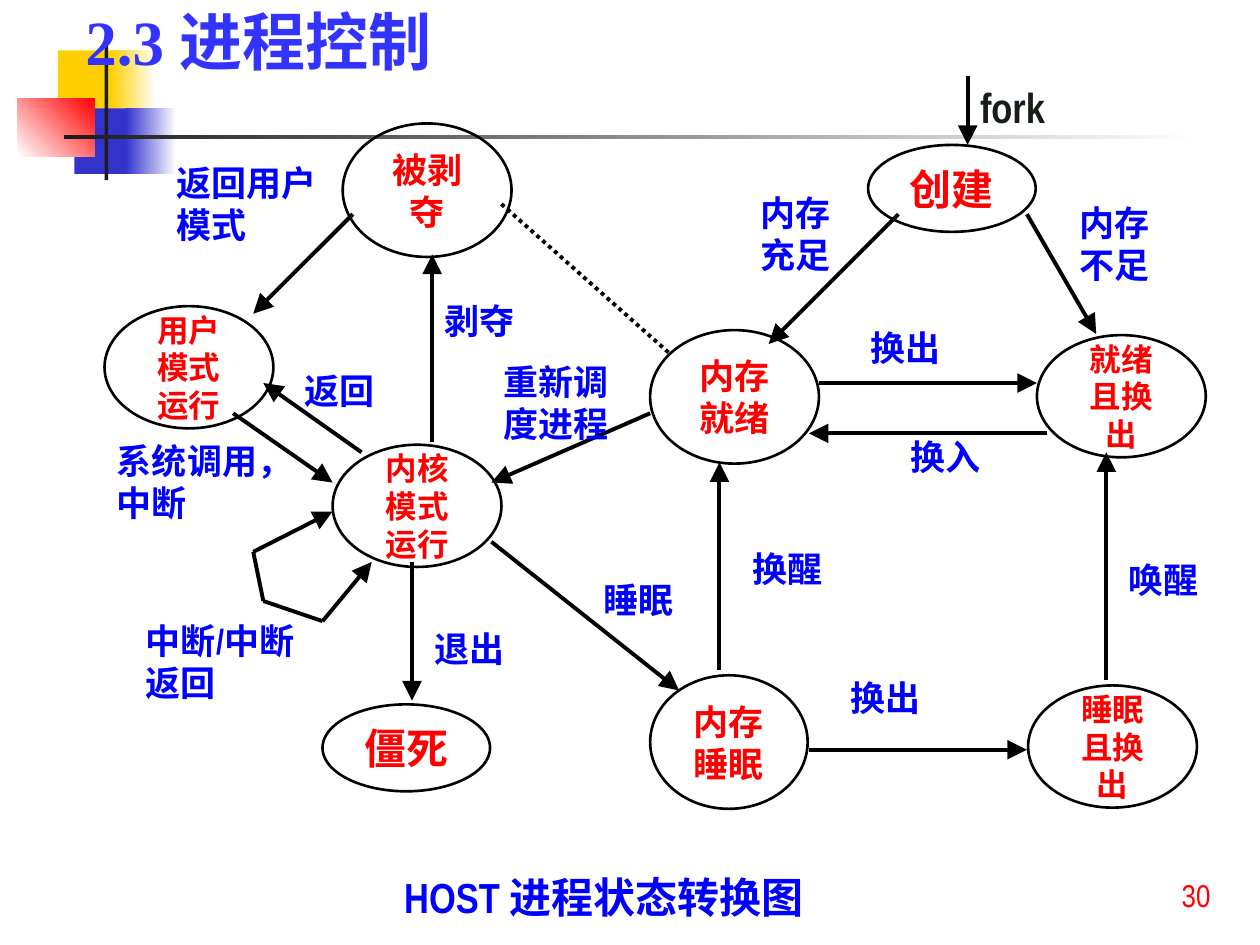
from lxml import etree
from pptx import Presentation
from pptx import util as u
from pptx.dml.color import RGBColor
from pptx.enum import dml, shapes, text
from pptx.oxml.ns import qn

THEME = {
    "body": "Arial Narrow", "heading": "Times New Roman",
    "state": "FF0000", "label": "0000FF", "title": "3333FF", "fork": "171D17",
    "ink": "000000", "white": "FFFFFF", "yellow": "FFCF01", "blue": "3333CC",
    "red": "FF0000", "dark": "1C1C1C",
    "title_size": 36, "large": 24, "medium": 20, "small": 18,
    "outline": 1.5, "arrow": 2.25,
}

# All places are columns and rows of a grid of 1000 by 750 cells
COLUMNS, ROWS = 1000, 750

# Decoration: box, first colour, last colour (None for plain), gradient angle
DECORATION = [
    ((46, 40, 48, 52), "yellow", None, 0),
    ((88, 40, 36, 52), "yellow", "white", 0),
    ((59, 86, 46, 52), "blue", None, 0),
    ((100, 86, 40, 52), "blue", "white", 0),
    ((14, 78, 61, 46), "white", "red", 45),
    ((83, 28, 3, 115), "dark", None, 0),
    ((51, 107, 900, 3), "dark", "white", 0),
]

# States: text, left, top, type size
STATES = [
    ("被剥夺", 272, 98, "medium"), ("用户模式运行", 83, 243, "small"),
    ("僵死", 256, 559, "large"), ("内存睡眠", 516, 536, "medium"),
    ("内存就绪", 516, 262, "medium"), ("创建", 689, 115, "large"),
    ("睡眠且换出", 816, 544, "small"), ("就绪且换出", 823, 266, "small"),
    ("内核模式运行", 264, 353, "small"),
]
STATE_SIZES = {"large": (133, 69), "medium": (134, 106), "small": (134, 97)}
NARROW_STATES = {"内存睡眠": 125}
STATE_MARGIN = 12

# Transitions: start and end
ARROWS = [
    ((768, 60), (768, 115)), ((878, 540), (878, 359)),
    ((642, 595), (815, 595)), ((571, 532), (571, 367)),
    ((390, 430), (539, 548)), ((327, 446), (327, 556)),
    ((650, 304), (823, 304)), ((831, 344), (642, 344)),
    ((815, 170), (870, 265)), ((713, 170), (610, 273)),
    ((343, 351), (343, 202)), ((287, 359), (209, 304)),
    ((185, 328), (264, 383)), ((280, 170), (201, 249)),
    ((516, 328), (390, 383)),
    ((201, 438), (264, 406)), ((256, 493), (295, 446)),
]
PLAIN_LINES = [((209, 477), (201, 438)), ((209, 477), (256, 493))]
DOTTED_LINES = [((398, 162), (532, 281))]

# Labels: text, left, top, width, number of lines
LABELS = [
    ("返回用户模式", 130, 123, 142, 2), ("剥夺", 343, 233, 95, 1),
    ("返回", 232, 288, 94, 1), ("退出", 335, 493, 94, 1),
    ("睡眠", 469, 454, 126, 1), ("换醒", 587, 430, 102, 1),
    ("换出", 665, 532, 118, 1), ("唤醒", 886, 438, 90, 1),
    ("换出", 681, 254, 102, 1), ("换入", 713, 341, 126, 1),
    ("内存不足", 847, 155, 102, 2), ("内存充足", 594, 147, 102, 2),
    ("重新调度进程", 390, 281, 110, 2), ("中断/中断返回", 106, 487, 165, 2),
    ("系统调用，中断", 83, 344, 165, 2),
]
LABEL_HEIGHTS = {1: 43, 2: 77}

# Single texts: text, box, format
TEXTS = [
    ("fork", (768, 60, 134, 50), dict(size="large", color="fork")),
    ("HOST 进程状态转换图", (311, 687, 591, 50), dict(size="large")),
    ("2.3 进程控制", (58, 25, 883, 42),
     dict(size="title_size", color="title", font="heading",
          anchor=text.MSO_ANCHOR.BOTTOM)),
    ("30", (928, 690, 52, 39), dict(size="small", color="state", bold=False)),
]

presentation = Presentation()
presentation.slide_width, presentation.slide_height = u.Inches(10), u.Inches(7.5)
slide = presentation.slides.add_slide(presentation.slide_layouts[6])


def place(*cells):
    """Turn alternating columns and rows into slide lengths."""
    steps = (presentation.slide_width / COLUMNS, presentation.slide_height / ROWS)
    return [round(cell * steps[i % 2]) for i, cell in enumerate(cells)]


def color_of(name):
    return RGBColor.from_string(THEME[name])


def write(shape, words, size="medium", color="label", font="body", bold=True,
          align=text.PP_ALIGN.LEFT, anchor=text.MSO_ANCHOR.TOP):
    frame = shape.text_frame
    frame.word_wrap = True
    frame.vertical_anchor = anchor
    paragraph = frame.paragraphs[0]
    paragraph.alignment = align
    run = paragraph.add_run()
    run.text = words
    run.font.name = THEME[font]
    run.font.size = u.Pt(THEME[size])
    run.font.bold = bold
    run.font.color.rgb = color_of(color)


def add_text(words, box, **style):
    write(slide.shapes.add_textbox(*place(*box)), words, **style)


def add_block(box, first, last, angle):
    shape = slide.shapes.add_shape(shapes.MSO_SHAPE.RECTANGLE, *place(*box))
    shape.shadow.inherit = False
    shape.line.fill.background()
    if last is None:
        shape.fill.solid()
        shape.fill.fore_color.rgb = color_of(first)
    else:
        shape.fill.gradient()
        shape.fill.gradient_angle = angle
        for stop, name in zip(shape.fill.gradient_stops, (first, last)):
            stop.color.rgb = color_of(name)


def add_state(words, left, top, size):
    width, height = STATE_SIZES[size]
    width = NARROW_STATES.get(words, width)
    shape = slide.shapes.add_shape(shapes.MSO_SHAPE.OVAL,
                                   *place(left, top, width, height))
    shape.shadow.inherit = False
    shape.fill.background()
    shape.line.color.rgb = color_of("ink")
    shape.line.width = u.Pt(THEME["outline"])
    frame = shape.text_frame
    frame.margin_left = frame.margin_right = place(STATE_MARGIN)[0]
    write(shape, words, size=size, color="state",
          align=text.PP_ALIGN.CENTER, anchor=text.MSO_ANCHOR.MIDDLE)


def add_line(start, end, arrow=False, dotted=False):
    connector = slide.shapes.add_connector(shapes.MSO_CONNECTOR.STRAIGHT,
                                           *place(*start, *end))
    connector.line.color.rgb = color_of("ink")
    connector.line.width = u.Pt(THEME["arrow"])
    if dotted:
        connector.line.dash_style = dml.MSO_LINE.ROUND_DOT
    properties = connector._element.spPr
    if arrow:
        etree.SubElement(properties.find(qn("a:ln")), qn("a:tailEnd"),
                         type="triangle", w="lg", len="lg")
    etree.SubElement(properties, qn("a:effectLst"))


# Background decoration
for block in DECORATION:
    add_block(*block)

# States and transitions
for state in STATES:
    add_state(*state)
for start, end in ARROWS:
    add_line(start, end, arrow=True)
for start, end in PLAIN_LINES:
    add_line(start, end)
for start, end in DOTTED_LINES:
    add_line(start, end, dotted=True)

# Labels, title, caption and page number
for words, left, top, width, lines in LABELS:
    add_text(words, (left, top, width, LABEL_HEIGHTS[lines]))
for words, box, style in TEXTS:
    add_text(words, box, **style)

presentation.save("out.pptx")
